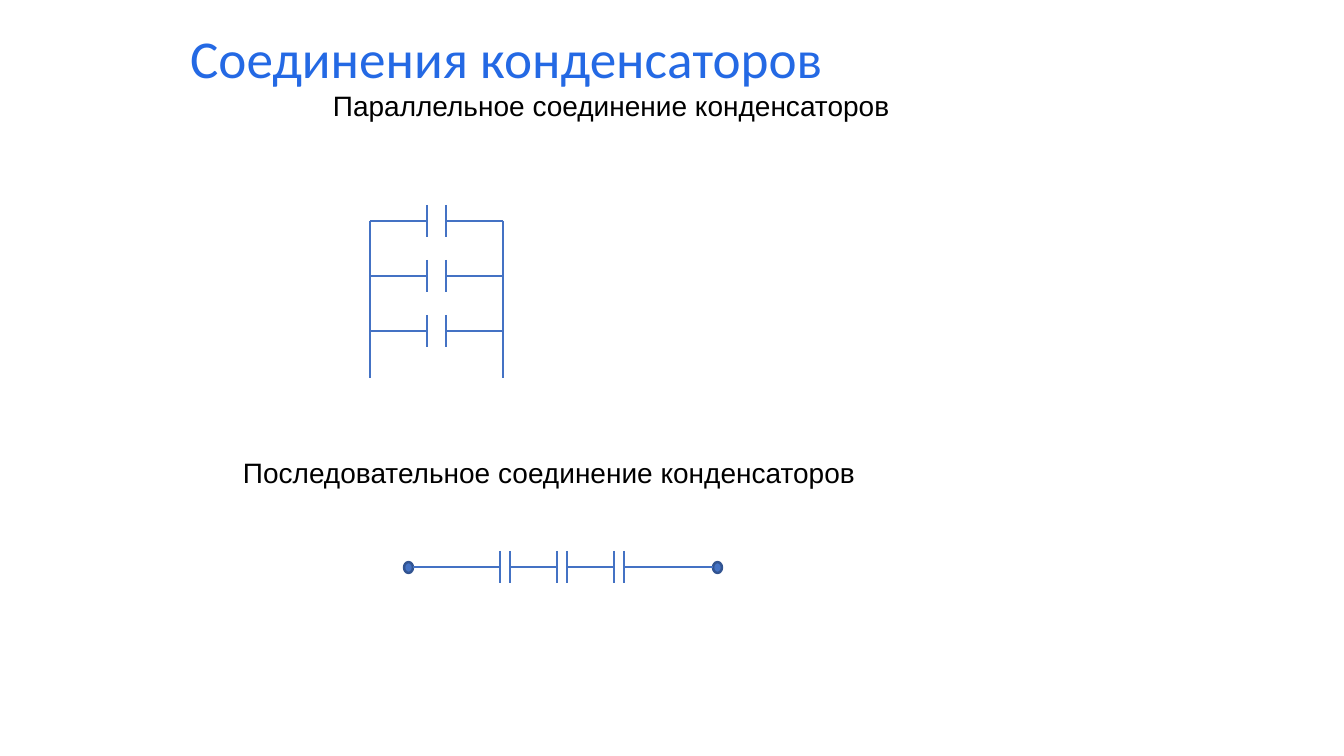
from dataclasses import dataclass

from lxml import etree
from pptx import Presentation
from pptx.dml.color import RGBColor
from pptx.enum.shapes import MSO_CONNECTOR, MSO_SHAPE
from pptx.enum.text import MSO_ANCHOR, PP_ALIGN
from pptx.oxml.ns import qn
from pptx.util import Emu, Pt

STRAIGHT = MSO_CONNECTOR.STRAIGHT
OVAL = MSO_SHAPE.OVAL
TOP = MSO_ANCHOR.TOP
LEFT = PP_ALIGN.LEFT

SLIDE_WIDTH, SLIDE_HEIGHT = 1344, 756
EMU_PER_PX = 12192000 / SLIDE_WIDTH
PLATE_HALF = 16


@dataclass(frozen=True)
class Theme:
    title_color: RGBColor = RGBColor(0x24, 0x69, 0xE4)
    text_color: RGBColor = RGBColor(0, 0, 0)
    wire_color: RGBColor = RGBColor(0x44, 0x72, 0xC4)
    terminal_border: RGBColor = RGBColor(0x32, 0x54, 0x91)
    title_font: str = "Calibri"
    text_font: str = "Arial"
    title_size: int = 38
    text_size: int = 20
    line_width: float = 1.75


THEME = Theme()


def px(length):
    return Emu(round(length * EMU_PER_PX))


def write_text(shape, text, *, font, size, color):
    frame = shape.text_frame
    frame.word_wrap = True
    frame.vertical_anchor = TOP
    paragraph = frame.paragraphs[0]
    paragraph.text = text
    paragraph.alignment = LEFT
    paragraph.line_spacing = 1.0
    paragraph.space_before = Pt(0)
    paragraph.font.name = font
    paragraph.font.size = Pt(size)
    paragraph.font.color.rgb = color


def set_title(slide, text, left, top, width, height):
    title = slide.shapes.title
    title.left, title.top = px(left), px(top)
    title.width, title.height = px(width), px(height)
    write_text(title, text, font=THEME.title_font, size=THEME.title_size,
               color=THEME.title_color)


def add_caption(slide, text, left, top, width, height):
    caption = slide.shapes.add_textbox(px(left), px(top), px(width), px(height))
    write_text(caption, text, font=THEME.text_font, size=THEME.text_size,
               color=THEME.text_color)


def add_wire(group, x1, y1, x2, y2):
    wire = group.shapes.add_connector(STRAIGHT, px(x1), px(y1), px(x2), px(y2))
    wire.line.color.rgb = THEME.wire_color
    wire.line.width = Pt(THEME.line_width)
    etree.SubElement(wire._element.spPr, qn("a:effectLst"))


def add_capacitor(group, plates, y):
    for x in plates:
        add_wire(group, x, y - PLATE_HALF, x, y + PLATE_HALF)


def add_terminal(group, left, top, width, height):
    terminal = group.shapes.add_shape(OVAL, px(left), px(top), px(width), px(height))
    terminal.shadow.inherit = False
    terminal.fill.solid()
    terminal.fill.fore_color.rgb = THEME.wire_color
    terminal.line.color.rgb = THEME.terminal_border
    terminal.line.width = Pt(THEME.line_width)


def add_parallel_circuit(slide):
    group = slide.shapes.add_group_shape()
    left, right, top, bottom = 370, 503, 221, 378
    plates = (427, 446)
    for y in range(top, bottom, 55):
        add_capacitor(group, plates, y)
        add_wire(group, left, y, plates[0], y)
        add_wire(group, plates[1], y, right, y)
    for x in (left, right):
        add_wire(group, x, top, x, bottom)


def add_series_circuit(slide):
    group = slide.shapes.add_group_shape()
    y, left, right = 567, 413, 713
    terminal_width, terminal_height = 9, 11
    for x in (left - terminal_width, right):
        add_terminal(group, x, y - 5, terminal_width, terminal_height)
    wire_start = left
    for x in (500, 557, 614):
        plates = (x, x + 10)
        add_capacitor(group, plates, y)
        add_wire(group, wire_start, y, plates[0], y)
        wire_start = plates[1]
    add_wire(group, wire_start, y, right, y)


def main():
    presentation = Presentation()
    presentation.slide_width = px(SLIDE_WIDTH)
    presentation.slide_height = px(SLIDE_HEIGHT)
    slide = presentation.slides.add_slide(presentation.slide_layouts[5])
    set_title(slide, "Соединения конденсаторов", 180, 20, 953, 75)
    add_caption(slide, "Параллельное соединение конденсаторов", 323, 84, 756, 44)
    add_caption(slide, "Последовательное соединение конденсаторов", 233, 451, 872, 44)
    add_parallel_circuit(slide)
    add_series_circuit(slide)
    presentation.save("out.pptx")


if __name__ == "__main__":
    main()
